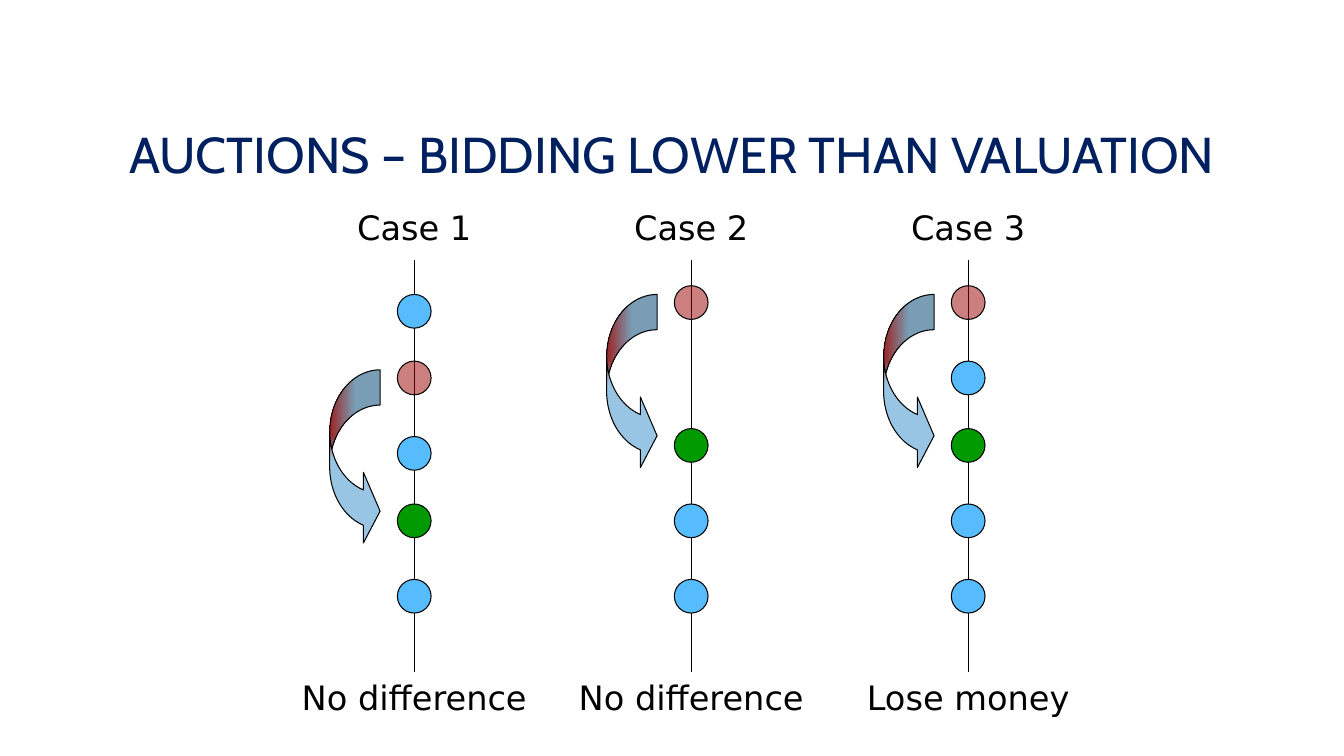
import pptx
import pptx.dml.color
import pptx.enum.shapes
import pptx.enum.text
import pptx.oxml
import pptx.oxml.ns
import pptx.util
import lxml.etree

Cm = pptx.util.Cm
Pt = pptx.util.Pt
MSO_SHAPE = pptx.enum.shapes.MSO_SHAPE
qn = pptx.oxml.ns.qn


def rgb(value):
    return pptx.dml.color.RGBColor.from_string(value)


def add_text(s, text, box, anchor, spacing, fmt, color):
    tf = s.shapes.add_textbox(*map(Cm, box)).text_frame
    tf.word_wrap = True
    tf.vertical_anchor = anchor
    p = tf.paragraphs[0]
    p.alignment = pptx.enum.text.PP_ALIGN.CENTER
    p.line_spacing = spacing
    r = p.add_run()
    r.text = text
    for name, value in fmt.items():
        setattr(r.font, name, value)
    r.font.color.rgb = rgb(color)


TITLE = {"size": Pt(36), "name": "Cabin"}
LABEL = {"size": Pt(24), "name": "DejaVu Sans"}
BLUE, RED, GREEN = "56BCFE", "9A0000", "009900"
ANCHOR = pptx.enum.text.MSO_ANCHOR
FIRST_AXIS, PITCH = 10.44, 6.98
DOT, LABEL_W = 0.85, 6.78

CASES = [
    ("Case 1", "No difference", 9.32,
     [(7.42, BLUE), (9.1, RED), (11, BLUE), (12.7, GREEN), (14.6, BLUE)]),
    ("Case 2", "No difference", 7.42,
     [(7.2, RED), (10.8, GREEN), (12.7, BLUE), (14.6, BLUE)]),
    ("Case 3", "Lose money", 7.42,
     [(7.2, RED), (9.1, BLUE), (10.8, GREEN), (12.7, BLUE), (14.6, BLUE)]),
]

prs = pptx.Presentation()
prs.slide_width, prs.slide_height = Cm(33.87), Cm(19.05)
s = prs.slides.add_slide(prs.slide_layouts[6])

add_text(s, "AUCTIONS – BIDDING LOWER THAN VALUATION", (2.54, 1.73, 28.78, 4.44),
         ANCHOR.MIDDLE, 0.9, TITLE, "002060")

for i, (case, result, arrow_top, dots) in enumerate(CASES):
    x = FIRST_AXIS + i * PITCH

    axis = s.shapes.add_connector(pptx.enum.shapes.MSO_CONNECTOR.STRAIGHT,
                                  Cm(x), Cm(6.56), Cm(x), Cm(16.94))
    lxml.etree.SubElement(axis.line._get_or_add_ln().getparent(), qn("a:effectLst"))
    outlined = [axis]

    for top, color in dots:
        sp = s.shapes.add_shape(MSO_SHAPE.OVAL, Cm(x - DOT / 2), Cm(top), Cm(DOT), Cm(DOT))
        sp.fill.solid()
        sp.fill.fore_color.rgb = rgb(color)
        if color == RED:
            clr = sp.fill._xPr.find(".//" + qn("a:srgbClr"))
            lxml.etree.SubElement(clr, qn("a:alpha"), val="50000")
        sp.shadow.inherit = False
        outlined.append(sp)

    arrow = s.shapes.add_shape(MSO_SHAPE.CURVED_RIGHT_ARROW,
                               Cm(x - 2.13), Cm(arrow_top), Cm(1.27), Cm(4.45))
    for k, value in enumerate((0.7, 1.4, 0.33)):
        arrow.adjustments[k] = value
    arrow.fill.gradient()
    for stop, color in zip(arrow.fill.gradient_stops, ("C22E2E", "97C5E3")):
        stop.color.rgb = rgb(color)
    grad = arrow.fill._xPr.find(qn("a:gradFill"))
    lin = grad.find(qn("a:lin"))
    path = lxml.etree.Element(qn("a:path"), path="rect")
    lxml.etree.SubElement(path, qn("a:fillToRect"), r="100000", b="100000")
    grad.replace(lin, path)
    arrow.shadow.inherit = False
    outlined.append(arrow)

    for sp in outlined:
        sp.line.color.rgb = rgb("000000")
        sp.line.width = Pt(0.75)

    for text, top in ((case, 5.08), (result, 16.94)):
        add_text(s, text, (x - LABEL_W / 2, top, LABEL_W, 1.27),
                 ANCHOR.TOP, 1.0, LABEL, "000000")

prs.save("out.pptx")
